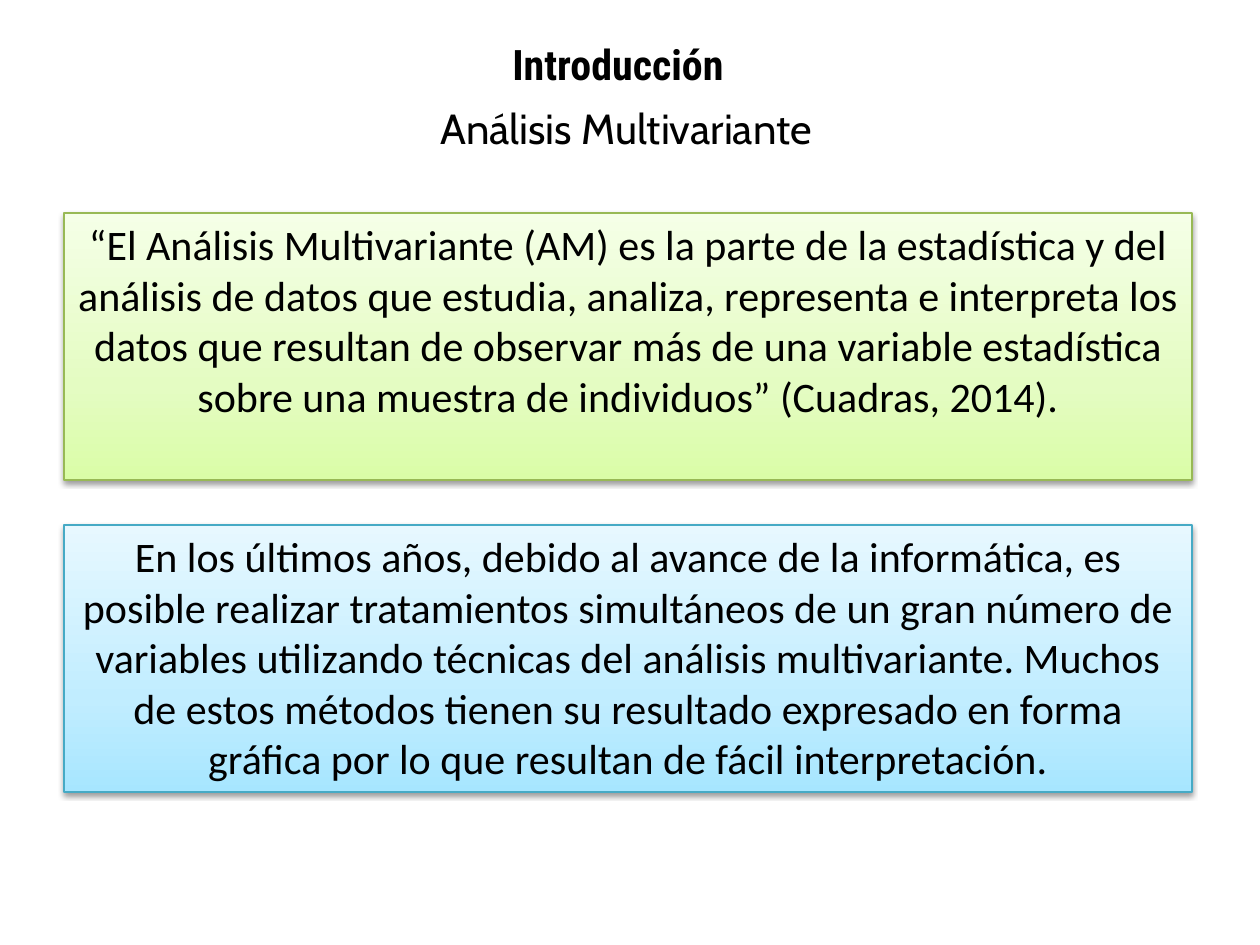
from copy import deepcopy
from dataclasses import dataclass

from lxml.etree import SubElement
from pptx import Presentation
from pptx.dml.color import RGBColor
from pptx.enum.shapes import MSO_SHAPE
from pptx.enum.text import MSO_ANCHOR, MSO_AUTO_SIZE, PP_ALIGN
from pptx.oxml.ns import qn
from pptx.util import Emu, Pt

PX_PER_INCH = 126


@dataclass(frozen=True)
class Theme:
    text: str = "000000"
    shadow: str = "000000"
    size: int = 24
    title_font: str = "Roboto Condensed"
    subtitle_font: str = "Cabin"
    body_font: str = "Calibri"
    green: tuple[str, ...] = ("DAFDA7", "E4FCC2", "F5FFE7")
    green_line: str = "98B955"
    blue: tuple[str, ...] = ("A7E6FF", "C1EDFF", "E7F8FF")
    blue_line: str = "46AAC5"
    stops: tuple[float, ...] = (0, 0.35, 1)


@dataclass(frozen=True)
class Panel:
    top: int
    gradient: tuple[str, ...]
    line: str
    text: str


THEME = Theme()
PANEL_LEFT, PANEL_WIDTH, PANEL_HEIGHT = 64, 1128, 267
PANELS = (
    Panel(213, THEME.green, THEME.green_line,
          "“El Análisis Multivariante (AM) es la parte de la estadística y del "
          "análisis de datos que estudia, analiza, representa e interpreta los "
          "datos que resultan de observar más de una variable estadística "
          "sobre una muestra de individuos” (Cuadras, 2014)."),
    Panel(525, THEME.blue, THEME.blue_line,
          "En los últimos años, debido al avance de la informática, es "
          "posible realizar tratamientos simultáneos de un gran número de "
          "variables utilizando técnicas del análisis multivariante. Muchos "
          "de estos métodos tienen su resultado expresado en forma "
          "gráfica por lo que resultan de fácil interpretación."),
)


def px(length: int) -> Emu:
    return Emu(round(length * 914400 / PX_PER_INCH))


def place(shape, left: int, top: int, width: int, height: int) -> None:
    shape.left, shape.top = px(left), px(top)
    shape.width, shape.height = px(width), px(height)


def write(shape, text: str, font: str, anchor=MSO_ANCHOR.TOP,
          bold: bool = False, inset: int = 6) -> None:
    frame = shape.text_frame
    frame.text = text
    frame.word_wrap = True
    frame.auto_size = MSO_AUTO_SIZE.NONE
    frame.vertical_anchor = anchor
    frame.margin_left = frame.margin_right = px(13)
    frame.margin_top = frame.margin_bottom = px(inset)
    paragraph = frame.paragraphs[0]
    paragraph.alignment = PP_ALIGN.CENTER
    paragraph.space_before = Pt(0)
    paragraph.font.name = font
    paragraph.font.size = Pt(THEME.size)
    paragraph.font.bold = bold
    paragraph.font.color.rgb = RGBColor.from_string(THEME.text)


def fill_gradient(shape, colors: tuple[str, ...]) -> None:
    shape.fill.gradient()
    shape.fill.gradient_angle = 90
    # The default gradient has two stops; a third is needed
    stop_list = shape._element.spPr.find(".//" + qn("a:gsLst"))
    stop_list.append(deepcopy(stop_list[-1]))
    for stop, position, color in zip(shape.fill.gradient_stops, THEME.stops, colors):
        stop.position = position
        stop.color.rgb = RGBColor.from_string(color)


def add_shadow(shape) -> None:
    shape.shadow.inherit = False
    effects = shape._element.spPr.find(qn("a:effectLst"))
    shadow = SubElement(effects, qn("a:outerShdw"), blurRad=str(Pt(3.1)),
                        dist=str(Pt(1.6)), dir="5400000", rotWithShape="0")
    color = SubElement(shadow, qn("a:srgbClr"), val=THEME.shadow)
    SubElement(color, qn("a:alpha"), val="38000")


def draw_panel(slide, panel: Panel) -> None:
    box = slide.shapes.add_shape(MSO_SHAPE.RECTANGLE, px(PANEL_LEFT), px(panel.top),
                                 px(PANEL_WIDTH), px(PANEL_HEIGHT))
    fill_gradient(box, panel.gradient)
    box.line.color.rgb = RGBColor.from_string(panel.line)
    box.line.width = Pt(0.75)
    add_shadow(box)
    write(box, panel.text, THEME.body_font)


def main() -> None:
    deck = Presentation()
    deck.slide_width, deck.slide_height = px(1260), px(945)
    slide = deck.slides.add_slide(deck.slide_layouts[0])

    # Heading
    title, subtitle = slide.shapes.title, slide.placeholders[1]
    place(title, 323, -30, 590, 132)
    write(title, "Introducción", THEME.title_font, MSO_ANCHOR.BOTTOM, bold=True, inset=13)
    place(subtitle, 343, 96, 566, 59)
    write(subtitle, "Análisis Multivariante", THEME.subtitle_font)

    # Definition and context panels
    for panel in PANELS:
        draw_panel(slide, panel)

    deck.save("out.pptx")


if __name__ == "__main__":
    main()
